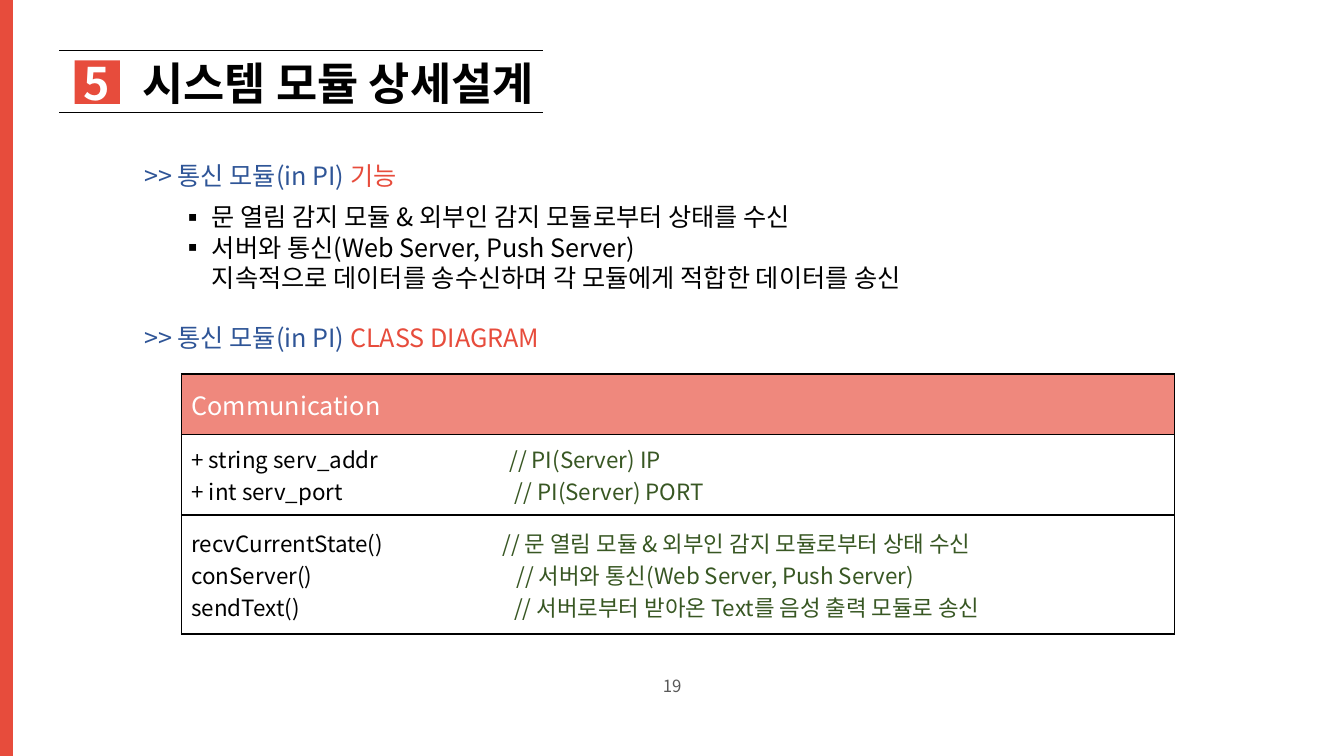
import lxml.etree
import pptx
import pptx.dml.color
import pptx.enum.shapes
import pptx.enum.text
import pptx.oxml
import pptx.oxml.ns
import pptx.util

Pt = pptx.util.Pt
ALIGN = pptx.enum.text.PP_ALIGN
ANCHOR = pptx.enum.text.MSO_ANCHOR
FONT = "Noto Sans CJK KR"
COLORS = {
    "red": "E74C3C",
    "salmon": "EF887D",
    "blue": "2F5597",
    "green": "385723",
    "gray": "595959",
    "black": "000000",
    "white": "FFFFFF",
}


def color(name):
    return pptx.dml.color.RGBColor.from_string(COLORS[name])


def child(parent, tag, **attributes):
    return lxml.etree.SubElement(parent, pptx.oxml.ns.qn(tag), **attributes)


class SlideBuilder:
    def __init__(self, slide):
        self.slide = slide
        self.shapes = slide.shapes

    def set_runs(self, paragraph, runs, size, align=ALIGN.LEFT, bold=False, tab=None, bullet=None):
        paragraph.alignment = align
        paragraph.space_before = Pt(0)
        font = paragraph.font
        font.size, font.name, font.bold = Pt(size), FONT, bold
        if len(runs) == 1:
            font.color.rgb = color(runs[0][1])
        properties = paragraph._p.get_or_add_pPr()
        defaults = properties.get_or_add_defRPr()
        defaults.find(pptx.oxml.ns.qn("a:latin")).addnext(child(defaults, "a:ea", typeface=FONT))
        if bullet:
            properties.set("marL", str(Pt(22.5)))
            properties.set("indent", str(-Pt(22.5)))
            defaults.addprevious(child(properties, "a:buFont", typeface=FONT))
            defaults.addprevious(child(properties, "a:buChar", char=bullet))
        if tab:
            stops = child(properties, "a:tabLst")
            child(stops, "a:tab", pos=str(Pt(tab)), algn="l")
            defaults.addprevious(stops)
        for text, name in runs:
            for index, line in enumerate(text.split("\n")):
                if index:
                    paragraph.add_line_break()
                run = paragraph.add_run()
                run.text = line
                if len(runs) > 1:
                    run.font.color.rgb = color(name)

    def placeholder(self, shape, box, paragraphs, line_spacing=1.0, **style):
        shape.left, shape.top, shape.width, shape.height = map(Pt, box)
        self.shapes._spTree.append(shape._element)
        frame = shape.text_frame
        frame.word_wrap = True
        frame.auto_size = pptx.enum.text.MSO_AUTO_SIZE.NONE
        frame.vertical_anchor = ANCHOR.TOP
        for index, runs in enumerate(paragraphs):
            paragraph = frame.add_paragraph() if index else frame.paragraphs[0]
            paragraph.line_spacing = line_spacing
            self.set_runs(paragraph, runs, **style)

    def text(self, box, runs, anchor=ANCHOR.TOP, **style):
        frame = self.shapes.add_textbox(*map(Pt, box)).text_frame
        frame.word_wrap = True
        frame.vertical_anchor = anchor
        self.set_runs(frame.paragraphs[0], runs, **style)

    def rectangle(self, box, fill):
        kind = pptx.enum.shapes.MSO_SHAPE.RECTANGLE
        shape = self.shapes.add_shape(kind, *map(Pt, box))
        shape.shadow.inherit = False
        shape.fill.solid()
        shape.fill.fore_color.rgb = color(fill)
        shape.line.fill.background()

    def rule(self, left, right, top):
        kind = pptx.enum.shapes.MSO_CONNECTOR.STRAIGHT
        connector = self.shapes.add_connector(kind, Pt(left), Pt(top), Pt(right), Pt(top))
        connector.line.color.rgb = color("black")
        connector.line.width = Pt(0.5)
        child(connector._element.spPr, "a:effectLst")

    def borders(self, cell):
        properties = cell._tc.get_or_add_tcPr()
        for position, side in enumerate(("a:lnL", "a:lnR", "a:lnT", "a:lnB")):
            line = child(properties, side, w=str(Pt(1)))
            child(child(line, "a:solidFill"), "a:srgbClr", val=COLORS["black"])
            properties.insert(position, line)

    def class_table(self, left, top, width, rows):
        height = sum(row[0] for row in rows)
        table = self.shapes.add_table(len(rows), 1, Pt(left), Pt(top), Pt(width), Pt(height)).table
        for index, (row_height, fill, size, lines) in enumerate(rows):
            table.rows[index].height = Pt(row_height)
            cell = table.cell(index, 0)
            cell.vertical_anchor = ANCHOR.MIDDLE
            cell.fill.solid()
            cell.fill.fore_color.rgb = color(fill)
            self.borders(cell)
            frame = cell.text_frame
            for number, (runs, tab) in enumerate(lines):
                paragraph = frame.add_paragraph() if number else frame.paragraphs[0]
                self.set_runs(paragraph, runs, size, tab=tab)


def member(name, note, tab):
    return [(f"{name}\t", "black"), (f"// {note}", "green")], tab


def main():
    presentation = pptx.Presentation()
    presentation.slide_width, presentation.slide_height = Pt(960), Pt(540)
    slide = presentation.slides.add_slide(presentation.slide_layouts[1])
    builder = SlideBuilder(slide)

    builder.rectangle((53.3, 43.2, 32.4, 31), "red")
    builder.placeholder(
        slide.shapes.title, (52.6, 36, 393, 46),
        [[("5\t", "white"), ("시스템 모듈 상세설계", "black")]],
        size=32, bold=True, tab=42,
    )
    builder.rectangle((-2.2, 0, 11.5, 540), "red")
    builder.text((372.2, 475.2, 216, 28.8), [("19", "gray")], ANCHOR.MIDDLE, size=12, align=ALIGN.CENTER)
    for top in (36, 80):
        builder.rule(42.5, 388, top)

    for top, topic in ((110.9, "기능"), (226.8, "CLASS DIAGRAM")):
        runs = [(">> 통신 모듈(in PI) ", "blue"), (topic, "red")]
        builder.text((95.8, top, 422, 28.8), runs, size=18)
    builder.placeholder(
        slide.placeholders[1], (121.7, 140.4, 605.5, 72.7),
        [
            [("문 열림 감지 모듈 & 외부인 감지 모듈로부터 상태를 수신", "black")],
            [("서버와 통신(Web Server, Push Server)\n지속적으로 데이터를 송수신하며 각 모듈에게 적합한 데이터를 송신", "black")],
        ],
        size=18, bullet="▪",
    )

    builder.class_table(129.6, 267.1, 709.2, [
        (43.2, "salmon", 18, [([("Communication", "white")], None)]),
        (57.6, "white", 16, [
            member("+ string serv_addr", "PI(Server) IP", 227),
            member("+ int serv_port", "PI(Server) PORT", 231),
        ]),
        (85, "white", 16, [
            member("recvCurrentState()", "문 열림 모듈 & 외부인 감지 모듈로부터 상태 수신", 222),
            member("conServer()", "서버와 통신(Web Server, Push Server)", 232),
            member("sendText()", "서버로부터 받아온 Text를 음성 출력 모듈로 송신", 230.5),
        ]),
    ])
    presentation.save("out.pptx")


if __name__ == "__main__":
    main()
